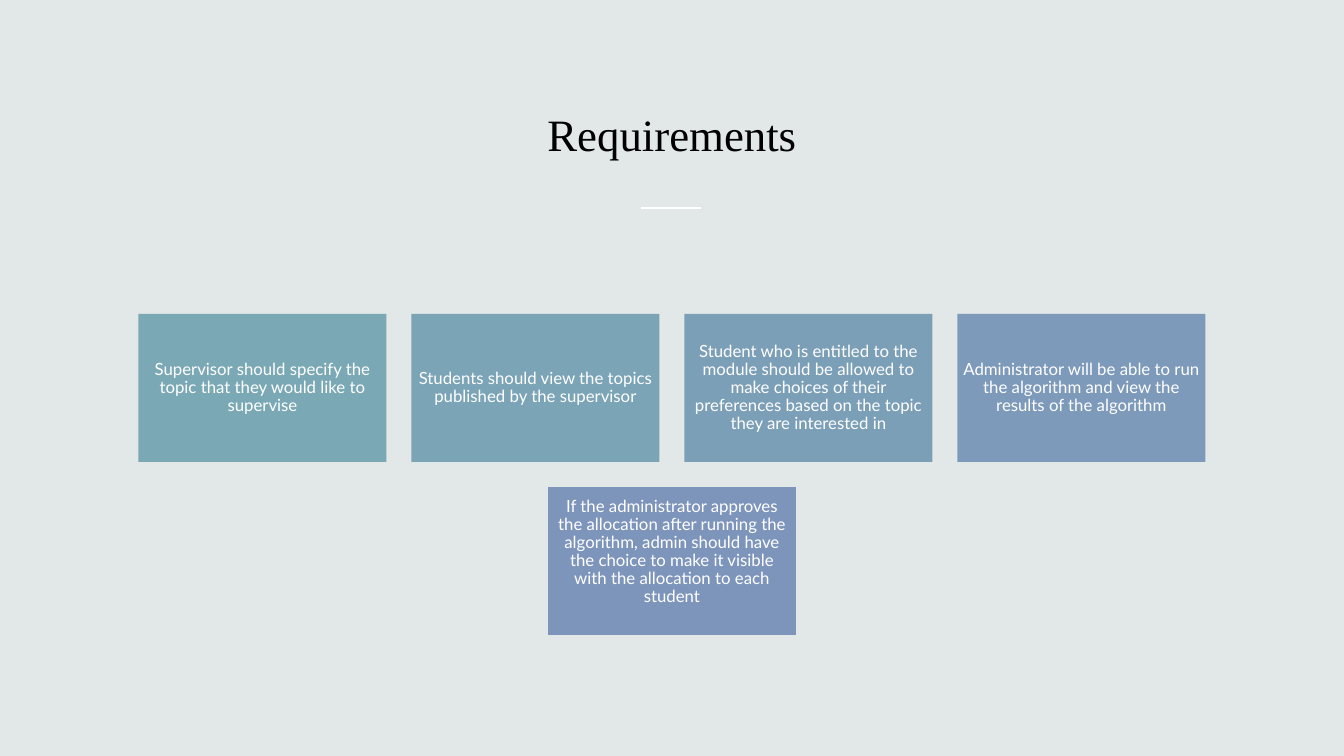
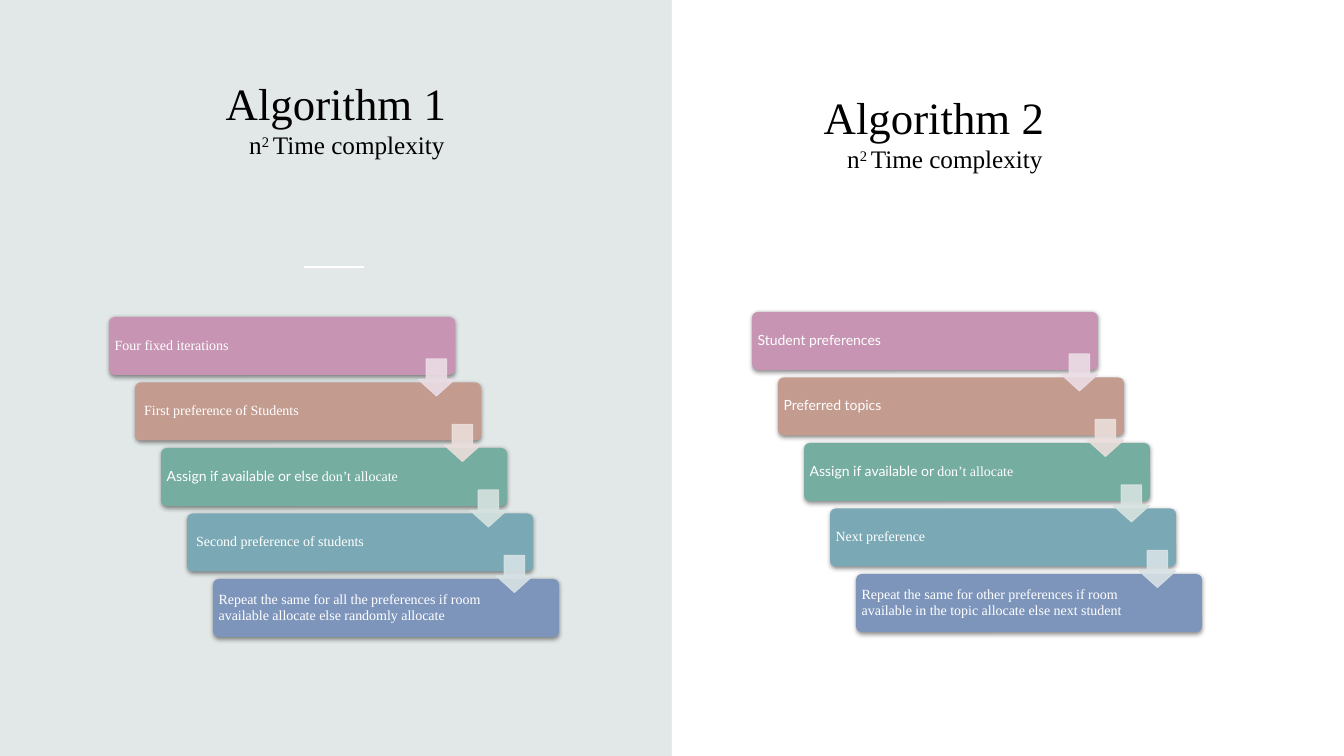
from lxml import etree
from pptx import Presentation
from pptx import util as u
from pptx.dml.color import RGBColor
from pptx.enum import shapes, text
from pptx.oxml.ns import qn

SCALE = 914400 / 100.8
SLIDE_WIDTH, SLIDE_HEIGHT = 1344, 756
SERIF, SANS = "Times New Roman", "Lato"
COLORS = {
    "background": "E2E8E7", "panel": "FFFFFF", "rule": "FFFFFF",
    "title": "000000", "label": "FFFFFF", "shadow": "000000",
}

CARD_ROWS = [
    [
        ("Supervisor should specify the topic that they would like to supervise", "7AA9B5"),
        ("Students should view the topics published by the supervisor", "7BA4B7"),
        ("Student who is entitled to the module should be allowed to make choices of "
         "their preferences based on the topic they are interested in", "7C9FB8"),
        ("Administrator will be able to run the algorithm and view the results of the "
         "algorithm", "7D9ABA"),
    ],
    [
        ("If the administrator approves the allocation after running the algorithm, admin "
         "should have the choice to make it visible with the allocation to each student",
         "7E95BB"),
    ],
]
CARD_TOP, CARD_WIDTH, CARD_HEIGHT, CARD_GAP = 314, 248, 148, 25
CARD_INSET = 5
ROW_BOTTOM_INSETS = [5, 23]

STEP_FILLS = ["C795B3", "C49B8F", "75ADA1", "7AA9B5", "7E95BB"]
ARROW_FILLS = ["EBDDE5", "EADEDB", "D6E3E0", "D7E2E5"]
STEP_WIDTH, STEP_HEIGHT = 346, 58
STAIR_RUN, STAIR_FALL = 104, 262
ARROW_SIZE, ARROW_DROP = 37, 42
STEP_INSETS = (4, 4, 68, 4)

COMPLEXITY = [("n", False), ("2 ", True), ("Time complexity", False)]
ALGORITHMS = [
    {
        "title": "Algorithm 1", "title_box": (111, 58, 450, 107), "stair": (109, 317),
        "steps": [
            [("Four fixed iterations", SERIF)],
            [(" First preference of Students", SERIF)],
            [("Assign if available or else ", SANS), ("don’t allocate", SERIF)],
            [(" Second preference of students", SERIF)],
            [("Repeat the same for all the preferences if room available allocate else "
              "randomly allocate", SERIF)],
        ],
    },
    {
        "title": "Algorithm 2", "title_box": (709, 72, 450, 107), "stair": (752, 312),
        "steps": [
            [("Student preferences", SANS)],
            [("Preferred topics", SANS)],
            [("Assign if available or ", SANS), ("don’t allocate", SERIF)],
            [("Next preference", SERIF)],
            [("Repeat the same for other preferences if room available in the topic "
              "allocate else next student", SERIF)],
        ],
    },
]


def px(length):
    return u.Emu(round(length * SCALE))


def color(name):
    return RGBColor.from_string(COLORS.get(name, name))


def add_run(paragraph, words, size, font, fill):
    run = paragraph.add_run()
    run.text = words
    run.font.size = u.Pt(size)
    run.font.name = font
    run.font.color.rgb = color(fill)
    return run


def set_insets(frame, left, top, right, bottom):
    frame.margin_left, frame.margin_top = px(left), px(top)
    frame.margin_right, frame.margin_bottom = px(right), px(bottom)


def add_block(slide, kind, box, fill):
    shape = slide.shapes.add_shape(kind, *map(px, box))
    shape.shadow.inherit = False
    shape.fill.solid()
    shape.fill.fore_color.rgb = color(fill)
    shape.line.fill.background()
    return shape


def add_label(shape, runs, size, align, insets):
    frame = shape.text_frame
    frame.word_wrap = True
    frame.vertical_anchor = text.MSO_ANCHOR.MIDDLE
    set_insets(frame, *insets)
    paragraph = frame.paragraphs[0]
    paragraph.alignment = align
    paragraph.line_spacing = 0.9
    for words, font in runs:
        add_run(paragraph, words, size, font, "label")


def write_title(shape, box, words):
    shape.left, shape.top, shape.width, shape.height = map(px, box)
    frame = shape.text_frame
    frame.word_wrap = True
    frame.auto_size = text.MSO_AUTO_SIZE.NONE
    frame.vertical_anchor = text.MSO_ANCHOR.BOTTOM
    paragraph = frame.paragraphs[0]
    paragraph.alignment = text.PP_ALIGN.CENTER
    add_run(paragraph, words, 32, SERIF, "title")
    return frame


def write_complexity(frame):
    paragraph = frame.add_paragraph()
    paragraph.alignment = text.PP_ALIGN.CENTER
    properties = paragraph._p.get_or_add_pPr()
    properties.set("marL", str(px(22)))
    properties.set("indent", "0")
    for words, raised in COMPLEXITY:
        run = add_run(paragraph, words, 18, SERIF, "title")
        if raised:
            run._r.get_or_add_rPr().set("baseline", "30000")


def add_rule(slide, left, top):
    rule = slide.shapes.add_connector(
        shapes.MSO_CONNECTOR.STRAIGHT, px(left), px(top), px(left + 60), px(top))
    rule.line.color.rgb = color("rule")
    rule.line.width = u.Pt(1)
    etree.SubElement(rule._element.spPr, qn("a:effectLst"))


def add_shadow(shape):
    effects = shape._element.spPr.find(qn("a:effectLst"))
    shadow = etree.SubElement(
        effects, qn("a:outerShdw"), blurRad=str(u.Pt(3.5)), dist=str(u.Pt(1.1)),
        dir="5400000", algn="ctr", rotWithShape="0")
    tint = etree.SubElement(shadow, qn("a:srgbClr"), val=COLORS["shadow"])
    etree.SubElement(tint, qn("a:alpha"), val="45000")


def add_arrow(slide, left, top, fill):
    arrow = add_block(slide, shapes.MSO_SHAPE.DOWN_ARROW,
                      (left, top, ARROW_SIZE, ARROW_SIZE), fill)
    arrow.adjustments[0], arrow.adjustments[1] = 0.55, 0.45
    arrow.line.color.rgb = color(fill)
    arrow.line.width = u.Pt(0.75)
    for tint in arrow._element.spPr.iter(qn("a:srgbClr")):
        etree.SubElement(tint, qn("a:alpha"), val="90000")


def add_staircase(slide, origin, steps):
    left, top = origin
    last = len(steps) - 1
    places = [(left + i * STAIR_RUN / last, top + i * STAIR_FALL / last)
              for i in range(len(steps))]
    for (x, y), runs, fill in zip(places, steps, STEP_FILLS):
        step = add_block(slide, shapes.MSO_SHAPE.ROUNDED_RECTANGLE,
                         (x, y, STEP_WIDTH, STEP_HEIGHT), fill)
        step.adjustments[0] = 0.1
        add_shadow(step)
        add_label(step, runs, 10, text.PP_ALIGN.LEFT, STEP_INSETS)
    for (x, y), fill in zip(places, ARROW_FILLS):
        add_arrow(slide, x + STEP_WIDTH - ARROW_SIZE, y + ARROW_DROP, fill)


def add_slide(presentation):
    return presentation.slides.add_slide(presentation.slide_layouts[5])


def build_requirements(presentation):
    slide = add_slide(presentation)
    write_title(slide.shapes.title, (109, 43, 1126, 123), "Requirements")
    add_rule(slide, 641, 208)
    for row, cards in enumerate(CARD_ROWS):
        row_width = len(cards) * (CARD_WIDTH + CARD_GAP) - CARD_GAP
        left = (SLIDE_WIDTH - row_width) / 2
        top = CARD_TOP + row * (CARD_HEIGHT + CARD_GAP)
        insets = (CARD_INSET, CARD_INSET, CARD_INSET, ROW_BOTTOM_INSETS[row])
        for column, (words, fill) in enumerate(cards):
            x = left + column * (CARD_WIDTH + CARD_GAP)
            card = add_block(slide, shapes.MSO_SHAPE.RECTANGLE,
                             (x, top, CARD_WIDTH, CARD_HEIGHT), fill)
            add_label(card, [(words, SANS)], 12, text.PP_ALIGN.CENTER, insets)


def build_algorithms(presentation):
    slide = add_slide(presentation)
    add_rule(slide, 304, 267)
    half = SLIDE_WIDTH // 2
    add_block(slide, shapes.MSO_SHAPE.RECTANGLE, (half, 0, half, SLIDE_HEIGHT), "panel")
    for index, algorithm in enumerate(ALGORITHMS):
        box = algorithm["title_box"]
        if index == 0:
            heading = slide.shapes.title
        else:
            heading = slide.shapes.add_textbox(*map(px, box))
        write_complexity(write_title(heading, box, algorithm["title"]))
        add_staircase(slide, algorithm["stair"], algorithm["steps"])


def main():
    presentation = Presentation()
    presentation.slide_width = px(SLIDE_WIDTH)
    presentation.slide_height = px(SLIDE_HEIGHT)
    background = presentation.slide_master.background.fill
    background.solid()
    background.fore_color.rgb = color("background")
    build_requirements(presentation)
    build_algorithms(presentation)
    presentation.save("out.pptx")


if __name__ == "__main__":
    main()
